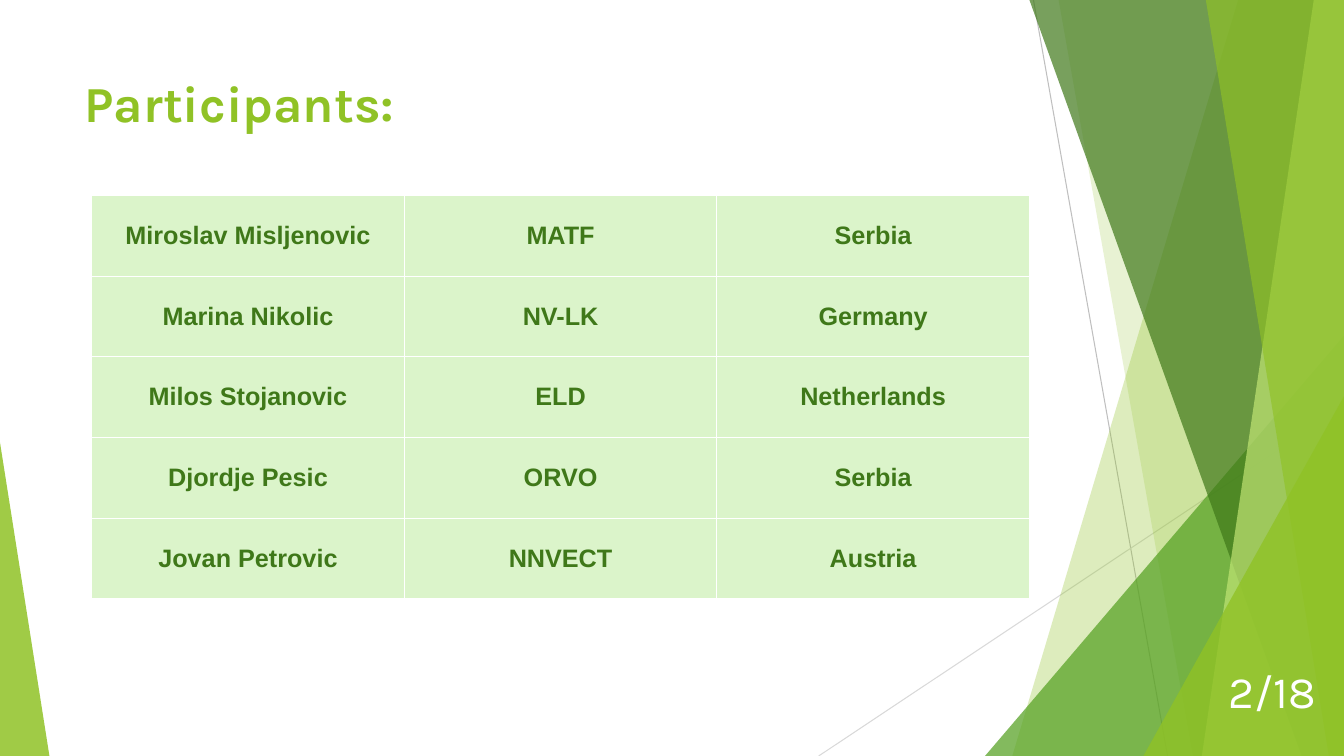
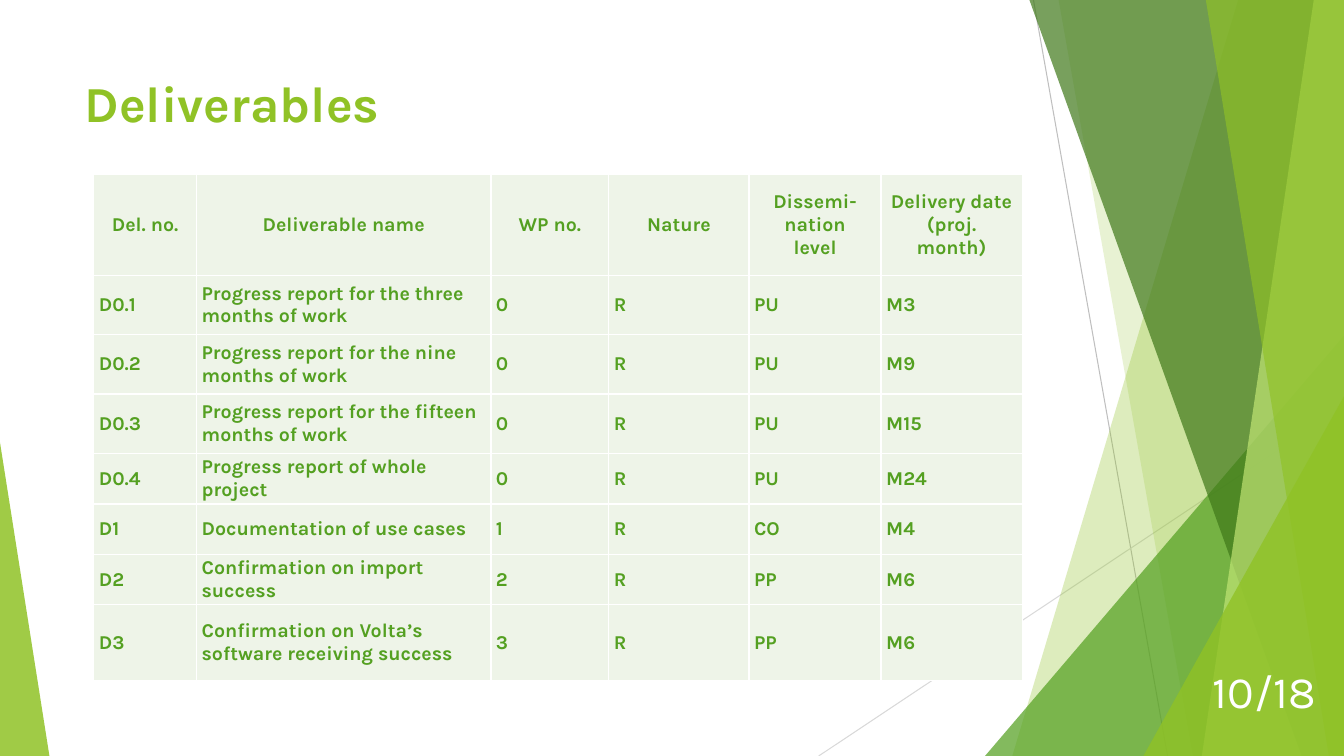
from dataclasses import dataclass

from lxml import etree
from pptx import Presentation
from pptx.dml.color import RGBColor
from pptx.enum.shapes import MSO_CONNECTOR, MSO_SHAPE
from pptx.enum.text import MSO_ANCHOR, PP_ALIGN
from pptx.oxml.ns import qn
from pptx.util import Inches, Pt

STRAIGHT = MSO_CONNECTOR.STRAIGHT
TRIANGLE = MSO_SHAPE.ISOSCELES_TRIANGLE
TOP, MIDDLE = MSO_ANCHOR.TOP, MSO_ANCHOR.MIDDLE
LEFT, CENTER, RIGHT = PP_ALIGN.LEFT, PP_ALIGN.CENTER, PP_ALIGN.RIGHT

SLIDE_WIDTH, SLIDE_HEIGHT = 13.33, 7.5
SLIDE_BOX = (0, 0, SLIDE_WIDTH, SLIDE_HEIGHT)
TITLE_BOX = (0.74, 0.67, 9.4, 1.44)
NUMBER_BOX = (11.4, 6.49, 1.75, 0.73)
PARTICIPANTS_BOX = (0.91, 1.94, 9.3, 4)
DELIVERABLES_BOX = (0.93, 1.73, 9.21, 5.02)


@dataclass(frozen=True)
class Theme:
    """Colours, fonts and type sizes shared by the slides."""
    lime: str = "90C226"
    green: str = "54A021"
    forest: str = "3F7819"
    pale_lime: str = "C0E474"
    mint: str = "DBF4CA"
    mist: str = "EEF4E8"
    white: str = "FFFFFF"
    gray: str = "BFBFBF"
    light_gray: str = "D9D9D9"
    font: str = "Karla"
    plain_font: str = "Arial"
    title_size: int = 36
    number_size: int = 32
    body_size: int = 18
    dense_size: int = 14


THEME = Theme()


@dataclass(frozen=True)
class TableStyle:
    """Look of one table: fill, type and spacing of its cells."""
    fill: str
    color: str
    font: str
    size: int
    inset: float
    space_before: int
    body_align: int
    header: bool


PARTICIPANTS_STYLE = TableStyle(THEME.mint, THEME.forest, THEME.plain_font,
                                THEME.body_size, 0.07, 10, CENTER, False)
DELIVERABLES_STYLE = TableStyle(THEME.mist, THEME.green, THEME.font,
                                THEME.dense_size, 0.05, 6, LEFT, True)

PARTICIPANTS = [
    ("Miroslav Misljenovic", "MATF", "Serbia"),
    ("Marina Nikolic", "NV-LK", "Germany"),
    ("Milos Stojanovic", "ELD", "Netherlands"),
    ("Djordje Pesic", "ORVO", "Serbia"),
    ("Jovan Petrovic", "NNVECT", "Austria"),
]
DELIVERABLES = [
    ("Del. no.", "Deliverable name", "WP no.", "Nature",
     "Dissemi-nation\vlevel", "Delivery date\n(proj.\nmonth)"),
    ("D0.1", "Progress report for the three months of work", "0", "R", "PU", "M3"),
    ("D0.2", "Progress report for the nine months of work", "0", "R", "PU", "M9"),
    ("D0.3", "Progress report for the fifteen months of work", "0", "R", "PU", "M15"),
    ("D0.4", "Progress report of whole project", "0", "R", "PU", "M24"),
    ("D1", "Documentation of use cases", "1", "R", "CO", "M4"),
    ("D2", "Confirmation on import success", "2", "R", "PP", "M6"),
    ("D3", "Confirmation on Volta’s software receiving success", "3", "R", "PP", "M6"),
]
DELIVERABLE_COLUMNS = (1.02, 2.92, 1.17, 1.39, 1.31, 1.4)
DELIVERABLE_ROWS = (1, 0.59, 0.59, 0.59, 0.5, 0.5, 0.5, 0.75)


def inches(*lengths):
    """Turn several numbers into lengths."""
    return [Inches(length) for length in lengths]


def style_paragraph(paragraph, font, size, color, bold=False, align=LEFT):
    """Align a paragraph and format its runs."""
    paragraph.alignment = align
    for run in paragraph.runs:
        run.font.name = font
        run.font.size = Pt(size)
        run.font.bold = bold
        run.font.color.rgb = RGBColor.from_string(color)


def paint(shape, color, opacity):
    """Give a shape a translucent fill, no line and no shadow."""
    shape.shadow.inherit = False
    shape.line.fill.background()
    shape.fill.solid()
    shape.fill.fore_color.rgb = RGBColor.from_string(color)
    color_element = shape.fill._xPr.find(".//" + qn("a:srgbClr"))
    etree.SubElement(color_element, qn("a:alpha"), val=str(opacity * 1000))


def add_hairline(shapes, start, end, color):
    """Draw a thin line between two points."""
    line = shapes.add_connector(STRAIGHT, *inches(*start, *end))
    line.line.color.rgb = RGBColor.from_string(color)
    line.line.width = Pt(0.75)
    etree.SubElement(line._element.spPr, qn("a:effectLst"))


def add_band(shapes, box, top_x, bottom_x, color, opacity):
    """Fill the area from a slanted edge to the right side of the box."""
    left, top, width, height = box
    right, bottom = left + width, top + height
    corners = [(left + top_x, top), (right, top),
               (right, bottom), (left + bottom_x, bottom)]
    points = [tuple(inches(*corner)) for corner in corners]
    builder = shapes.build_freeform(*points[0])
    builder.add_line_segments(points[1:], close=True)
    paint(builder.convert_to_shape(), color, opacity)


def add_corner(shapes, box, width, height, color, opacity, at_right=True):
    """Place a right triangle in a bottom corner of the box."""
    left = box[0] + (box[2] - width if at_right else 0)
    top = box[1] + box[3] - height
    triangle = shapes.add_shape(TRIANGLE, *inches(left, top, width, height))
    triangle.adjustments[0] = 1 if at_right else 0
    paint(triangle, color, opacity)


def add_backdrop(slide, box):
    """Draw the overlapping green facets around the content."""
    left, top, width, height = box
    right, bottom = left + width, top + height
    shapes = slide.shapes.add_group_shape().shapes
    add_hairline(shapes, (left + 10.25, top), (left + 11.58, bottom), THEME.gray)
    add_hairline(shapes, (right, top + 4.03), (left + 8.12, bottom), THEME.light_gray)
    add_band(shapes, box, 12.28, 10.04, THEME.lime, 30)
    add_band(shapes, box, 10.5, 11.83, THEME.lime, 20)
    add_corner(shapes, box, 3.56, 4.17, THEME.green, 72)
    add_band(shapes, box, 10.21, 12.91, THEME.forest, 70)
    add_band(shapes, box, 13.03, 11.92, THEME.pale_lime, 70)
    add_band(shapes, box, 11.96, 13.18, THEME.lime, 65)
    add_corner(shapes, box, 1.99, 3.57, THEME.lime, 80)
    add_corner(shapes, box, 0.49, 3.11, THEME.lime, 85, at_right=False)


def add_text(slide, box, text, size, color, bold=False, align=LEFT, anchor=TOP):
    """Place one line of text in a box."""
    text_frame = slide.shapes.add_textbox(*inches(*box)).text_frame
    text_frame.word_wrap = True
    text_frame.vertical_anchor = anchor
    text_frame.text = text
    style_paragraph(text_frame.paragraphs[0], THEME.font, size, color, bold, align)


def add_borders(cell, color):
    """Put a one-point line on each side of a cell, ahead of its fill."""
    properties = cell._tc.get_or_add_tcPr()
    for index, side in enumerate(("a:lnL", "a:lnR", "a:lnT", "a:lnB")):
        border = etree.Element(qn(side), w=str(Pt(1)))
        fill = etree.SubElement(border, qn("a:solidFill"))
        etree.SubElement(fill, qn("a:srgbClr"), val=color)
        properties.insert(index, border)


def fill_cell(cell, text, style, is_header):
    """Write and format one table cell."""
    cell.text_frame.text = text
    cell.vertical_anchor = MIDDLE
    cell.margin_left = cell.margin_right = Inches(style.inset)
    cell.margin_top = cell.margin_bottom = 0
    cell.fill.solid()
    cell.fill.fore_color.rgb = RGBColor.from_string(style.fill)
    add_borders(cell, THEME.white)
    align = CENTER if is_header else style.body_align
    for paragraph in cell.text_frame.paragraphs:
        style_paragraph(paragraph, style.font, style.size, style.color, True, align)
        if not is_header:
            paragraph.space_before = Pt(style.space_before)


def share_out(tracks, weights, total):
    """Divide a length among columns or rows; return each track's size attribute."""
    return [(track, Inches(total * weight / sum(weights)))
            for track, weight in zip(tracks, weights)]


def add_data_table(slide, box, rows, style, column_weights=None, row_weights=None):
    """Build a table that fills the box, with equal tracks unless weighted."""
    column_weights = column_weights or [1] * len(rows[0])
    row_weights = row_weights or [1] * len(rows)
    frame = slide.shapes.add_table(len(rows), len(rows[0]), *inches(*box))
    table = frame.table
    table.first_row = style.header
    table.horz_banding = False
    for column, width in share_out(table.columns, column_weights, box[2]):
        column.width = width
    for row, height in share_out(table.rows, row_weights, box[3]):
        row.height = height
    for row_index, values in enumerate(rows):
        is_header = style.header and row_index == 0
        for column_index, text in enumerate(values):
            fill_cell(table.cell(row_index, column_index), text, style, is_header)


def add_table_slide(presentation, title, number, box, rows, style, *weights):
    """Add a slide with backdrop, title, table and page number."""
    slide = presentation.slides.add_slide(presentation.slide_layouts[6])
    add_backdrop(slide, SLIDE_BOX)
    add_text(slide, TITLE_BOX, title, THEME.title_size, THEME.lime, bold=True)
    add_data_table(slide, box, rows, style, *weights)
    add_text(slide, NUMBER_BOX, number, THEME.number_size, THEME.white,
             align=RIGHT, anchor=MIDDLE)


def main():
    """Build and save the presentation."""
    presentation = Presentation()
    presentation.slide_width = Inches(SLIDE_WIDTH)
    presentation.slide_height = Inches(SLIDE_HEIGHT)
    add_table_slide(presentation, "Participants:", "2/18", PARTICIPANTS_BOX,
                    PARTICIPANTS, PARTICIPANTS_STYLE)
    add_table_slide(presentation, "Deliverables", "10/18", DELIVERABLES_BOX,
                    DELIVERABLES, DELIVERABLES_STYLE,
                    DELIVERABLE_COLUMNS, DELIVERABLE_ROWS)
    presentation.save("out.pptx")


main()
